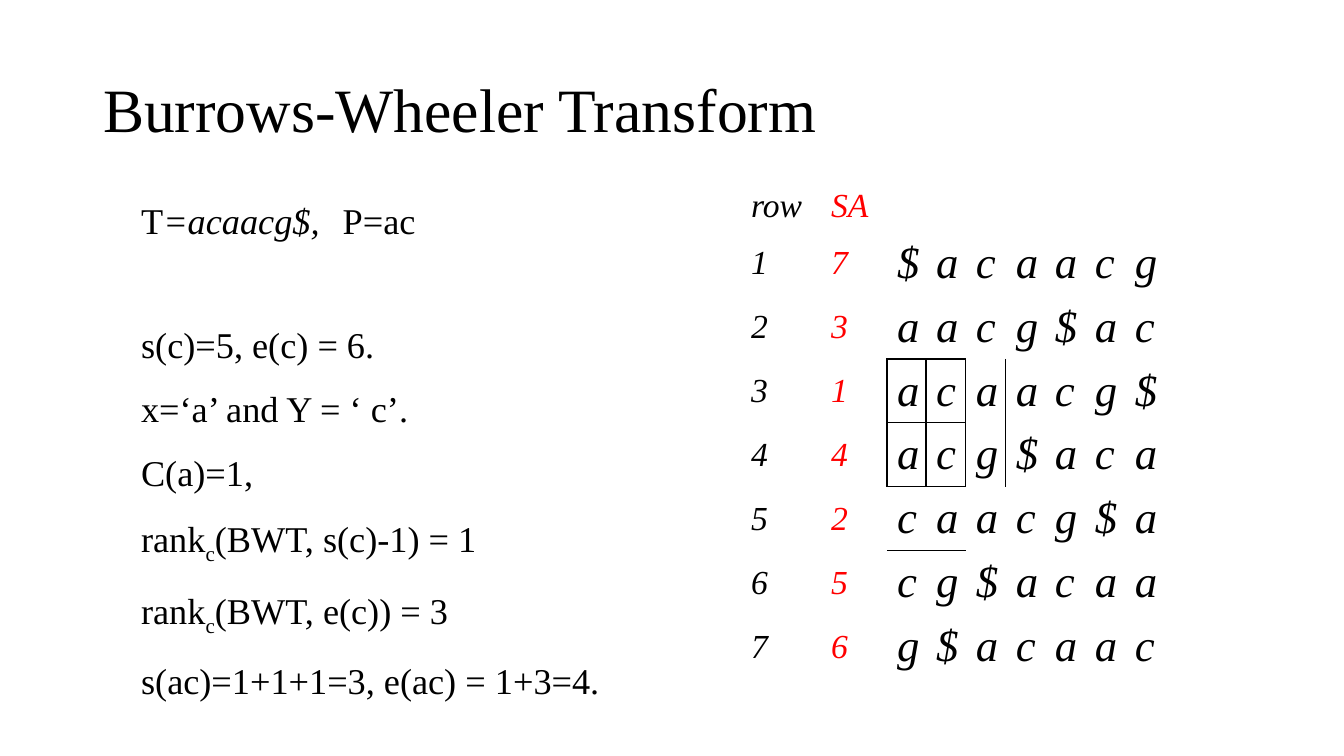
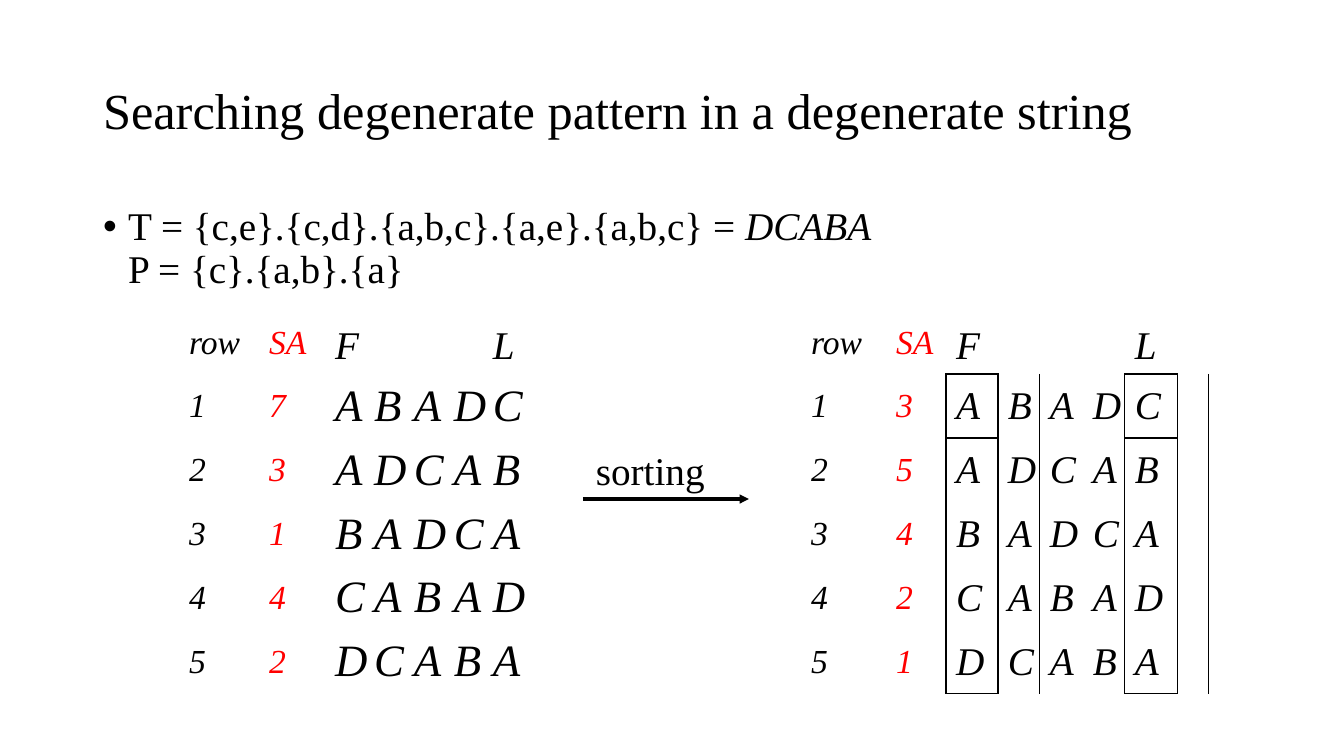
import copy

import lxml.etree
import pptx
import pptx.dml.color
import pptx.enum.shapes
import pptx.enum.text
import pptx.oxml.ns
import pptx.util

EMU_PER_PX = 12192000 / 1344
SLIDE_SIZE = (1344, 756)
FONT = "Times New Roman"
COLOURS = {"text": "000000", "suffix": "FF0000", "background": "FFFFFF"}
NO_STYLE = "{2D5ABB26-0587-4C30-8999-92F81FD0307C}"
SIDES = {"lnL": (0, -1), "lnR": (0, 1), "lnT": (-1, 0), "lnB": (1, 0)}
TITLE_BOX = (93, 40, 1159, 146)

SUBSCRIPT = {"baseline": -25000}
ITALIC = {"italic": True}
RANK = ("rank", {}), ("c", SUBSCRIPT)

SLIDES = [
    {
        "title": ("Burrows-Wheeler Transform", 44),
        "body_box": (131, 202, 1121, 480),
        "body": [
            ([("T", {}), ("=acaacg$,", ITALIC), ("\tP=ac", {})],
             {"line_spacing": 0.8, "tab": 215}),
            ([("s(c)=5, e(c) = 6.", {})], {"space_before": 45}),
            ([("x=‘a’ and Y = ‘ c’.", {})], {}),
            ([("C(a)=1,", {})], {}),
            ([*RANK, ("(BWT, s(c)-1) = 1", {})], {}),
            ([*RANK, ("(BWT, e(c)) = 3", {})], {}),
            ([("s(ac)=1+1+1=3, e(ac) = 1+3=4.", {})], {}),
        ],
        "body_format": {"size": 25.9, "line_spacing": 1.4, "space_before": 2},
        "tables": [
            {
                "at": (741, 183),
                "header_height": 48,
                "columns": [80, 66, 39, 40, 40, 39, 40, 40, 40],
                "labels": {},
                "rows": [("7", "$acaacg"), ("3", "aacg$ac"), ("1", "acaacg$"),
                         ("4", "acg$aca"), ("2", "caacg$a"), ("5", "cg$acaa"),
                         ("6", "g$acaac")],
                "size": 32,
                "boxes": [(3, 2, 4, 3)],
            },
        ],
    },
    {
        "title": ("Searching degenerate pattern in a degenerate string", 36),
        "body_box": (93, 202, 1159, 480),
        "body": [
            ([("T = {c,e}.{c,d}.{a,b,c}.{a,e}.{a,b,c} = ", {}),
              ("DCABA", ITALIC), ("\n", {}), ("P = {c}.{a,b}.{a}", {})],
             {"bullet": 25}),
        ],
        "body_format": {"size": 28, "line_spacing": 0.9},
        "tables": [
            {
                "at": (179, 320),
                "header_height": 54,
                "columns": [80, 66, 39, 40, 40, 39, 50, 29, 40],
                "labels": {2: "F", 6: "L"},
                "rows": [("7", "ABADC"), ("3", "ADCAB"), ("1", "BADCA"),
                         ("4", "CABAD"), ("2", "DCABA")],
                "size": 32,
                "boxes": [],
            },
            {
                "at": (801, 320),
                "header_height": 54,
                "columns": [85, 60, 52, 42, 43, 42, 53, 31, 42],
                "labels": {2: "F", 6: "L"},
                "rows": [("3", "ABADC"), ("5", "ADCAB"), ("4", "BADCA"),
                         ("2", "CABAD"), ("1", "DCABA")],
                "size": 28,
                "boxes": [(1, 2, 5, 2), (1, 6, 5, 6)],
            },
        ],
        "arrow": {"label": "sorting", "label_box": (586, 447, 183, 107),
                  "line": (583, 499, 749, 499)},
    },
]
ROW_HEIGHT = 64
INDEX_SIZE = 24
LABEL_SIZE = 28


def px(length):
    return pptx.util.Emu(round(length * EMU_PER_PX))


def colour(name):
    return pptx.dml.color.RGBColor.from_string(COLOURS[name])


def add_xml(parent, tag, **attributes):
    element = lxml.etree.SubElement(parent, pptx.oxml.ns.qn(tag))
    for name, value in attributes.items():
        element.set(name, str(value))
    return element


def write_text(paragraph, runs, size, color="text", italic=False,
               line_spacing=None, space_before=0, bullet=0, tab=0):
    properties = paragraph._p.get_or_add_pPr()
    properties.set("marL", str(px(bullet)))
    properties.set("indent", str(px(-bullet)))
    if bullet:
        add_xml(properties, "a:buFont", typeface="Arial")
        add_xml(properties, "a:buChar", char="•")
    else:
        add_xml(properties, "a:buNone")
    if tab:
        stops = add_xml(properties, "a:tabLst")
        add_xml(stops, "a:tab", pos=px(tab), algn="l")
    paragraph.alignment = pptx.enum.text.PP_ALIGN.LEFT
    paragraph.space_before = pptx.util.Pt(space_before)
    if line_spacing:
        paragraph.line_spacing = line_spacing
    if isinstance(runs, str):
        runs = [(runs, {})]
    for text, run_format in runs:
        if text == "\n":
            paragraph.add_line_break()
            paragraph._p[-1].append(copy.deepcopy(run._r.rPr))
            continue
        run = paragraph.add_run()
        run.text = text
        run.font.name = FONT
        run.font.size = pptx.util.Pt(size)
        run.font.italic = run_format.get("italic", italic)
        run.font.color.rgb = colour(color)
        if "baseline" in run_format:
            run._r.rPr.set("baseline", str(run_format["baseline"]))


def place(shape, box):
    shape.left, shape.top, shape.width, shape.height = map(px, box)
    shape.text_frame.word_wrap = True
    shape.text_frame.auto_size = pptx.enum.text.MSO_AUTO_SIZE.NONE


def fill_placeholders(slide, content):
    title, size = content["title"]
    place(slide.shapes.title, TITLE_BOX)
    frame = slide.shapes.title.text_frame
    frame.vertical_anchor = pptx.enum.text.MSO_ANCHOR.MIDDLE
    write_text(frame.paragraphs[0], title, size, line_spacing=0.9)

    body = slide.placeholders[1]
    place(body, content["body_box"])
    for index, (runs, paragraph_format) in enumerate(content["body"]):
        frame = body.text_frame
        paragraph = frame.add_paragraph() if index else frame.paragraphs[0]
        text_format = {**content["body_format"], **paragraph_format}
        if index == 0:
            text_format["space_before"] = 0
        write_text(paragraph, runs, **text_format)


def draw_borders(cell, row, column, boxes):
    def boxed(r, c):
        return any(top <= r <= bottom and left <= c <= right
                   for top, left, bottom, right in boxes)

    properties = cell._tc.get_or_add_tcPr()
    edges = [tag for tag, (down, across) in SIDES.items()
             if boxed(row, column) != boxed(row + down, column + across)]
    for position, tag in enumerate(edges):
        line = add_xml(properties, "a:" + tag, w=pptx.util.Pt(1))
        fill = add_xml(line, "a:solidFill")
        add_xml(fill, "a:srgbClr", val=COLOURS["text"])
        properties.insert(position, line)


def add_matrix(slide, matrix):
    columns = matrix["columns"]
    heights = [matrix["header_height"]] + [ROW_HEIGHT] * len(matrix["rows"])
    left, top = matrix["at"]
    shape = slide.shapes.add_table(
        len(heights), len(columns), px(left), px(top),
        px(sum(columns)), px(sum(heights)))
    table = shape.table
    table.first_row = table.horz_banding = False
    next(shape.element.iter(pptx.oxml.ns.qn("a:tableStyleId"))).text = NO_STYLE
    for column, width in zip(table.columns, columns):
        column.width = px(width)
    for row, height in zip(table.rows, heights):
        row.height = px(height)

    grid = [{0: "row", 1: "SA", **matrix["labels"]}]
    for number, (suffix, letters) in enumerate(matrix["rows"], 1):
        grid.append(dict(enumerate([str(number), suffix, *letters])))
    for r, texts in enumerate(grid):
        for c in range(len(columns)):
            cell = table.cell(r, c)
            cell.fill.background()
            draw_borders(cell, r, c, matrix["boxes"])
            if r:
                cell.vertical_anchor = pptx.enum.text.MSO_ANCHOR.MIDDLE
            if c in texts:
                letter_size = matrix["size"] if r else LABEL_SIZE
                write_text(cell.text_frame.paragraphs[0], texts[c],
                           INDEX_SIZE if c < 2 else letter_size,
                           color="suffix" if c == 1 else "text", italic=True)


def add_arrow(slide, arrow):
    label = slide.shapes.add_textbox(0, 0, 0, 0)
    place(label, arrow["label_box"])
    write_text(label.text_frame.paragraphs[0], arrow["label"], LABEL_SIZE,
               line_spacing=0.9)
    connector = slide.shapes.add_connector(
        pptx.enum.shapes.MSO_CONNECTOR.STRAIGHT, *map(px, arrow["line"]))
    connector.line.color.rgb = colour("text")
    connector.line.width = pptx.util.Pt(2.25)
    properties = connector.element.find(pptx.oxml.ns.qn("p:spPr"))
    add_xml(properties.find(pptx.oxml.ns.qn("a:ln")), "a:tailEnd", type="triangle")
    add_xml(properties, "a:effectLst")


def main():
    presentation = pptx.Presentation()
    presentation.slide_width, presentation.slide_height = map(px, SLIDE_SIZE)
    background = presentation.slide_master.background.fill
    background.solid()
    background.fore_color.rgb = colour("background")
    for content in SLIDES:
        slide = presentation.slides.add_slide(presentation.slide_layouts[1])
        fill_placeholders(slide, content)
        for matrix in content["tables"]:
            add_matrix(slide, matrix)
        if "arrow" in content:
            add_arrow(slide, content["arrow"])
    presentation.save("out.pptx")


if __name__ == "__main__":
    main()
